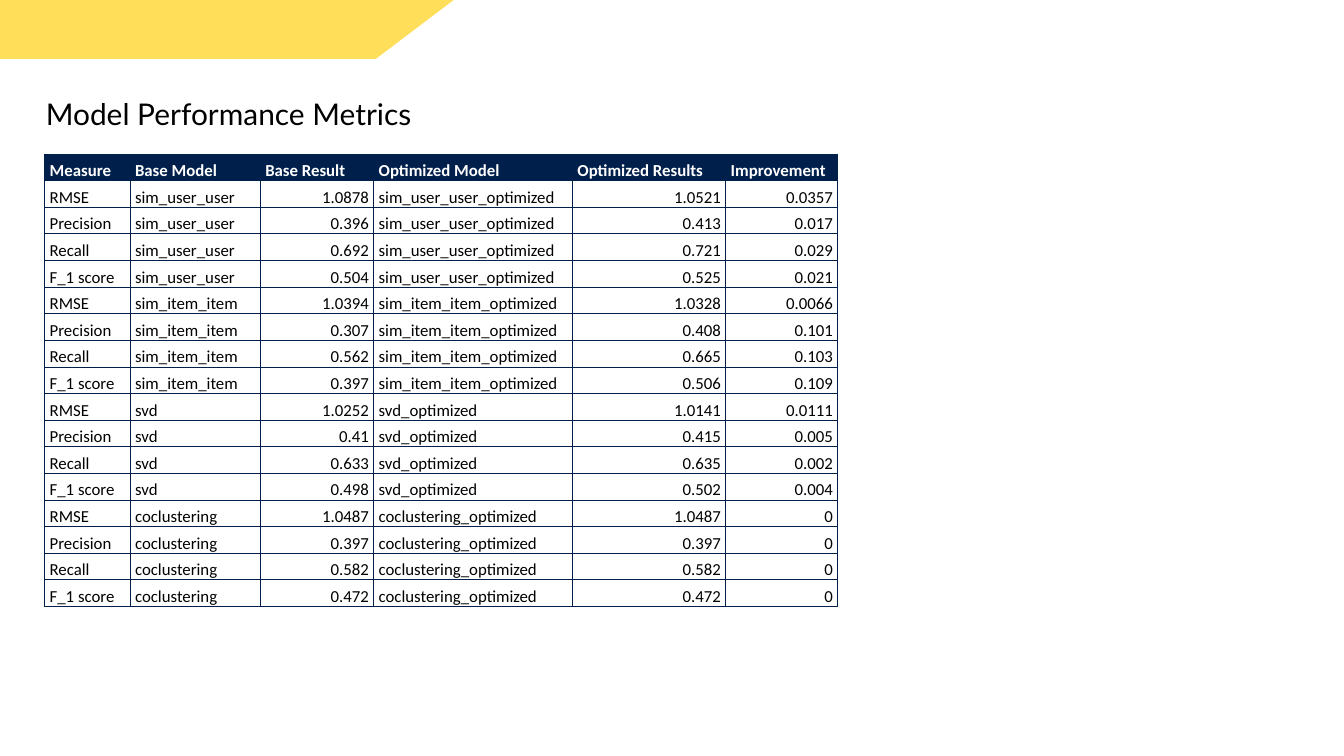
from typing import NamedTuple

from lxml.etree import SubElement
from pptx import Presentation
from pptx.dml.color import RGBColor
from pptx.enum.text import MSO_ANCHOR, PP_ALIGN
from pptx.oxml.ns import qn
from pptx.util import Pt

PX = 9525  # EMU per px, 96 px to the inch
NAVY, YELLOW, BLACK, WHITE = "00204B", "FFDE59", "000000", "FFFFFF"


class Column(NamedTuple):
    heading: str
    width: int
    numeric: bool = False


class ModelResult(NamedTuple):
    model: str
    base: tuple[float, ...]
    optimized: tuple[float, ...]


COLUMNS = [
    Column("Measure", 122),
    Column("Base Model", 186),
    Column("Base Result", 162, True),
    Column("Optimized Model", 284),
    Column("Optimized Results", 219, True),
    Column("Improvement", 160, True),
]
MEASURES = ("RMSE", "Precision", "Recall", "F_1 score")
RESULTS = [
    ModelResult("sim_user_user", (1.0878, 0.396, 0.692, 0.504), (1.0521, 0.413, 0.721, 0.525)),
    ModelResult("sim_item_item", (1.0394, 0.307, 0.562, 0.397), (1.0328, 0.408, 0.665, 0.506)),
    ModelResult("svd", (1.0252, 0.41, 0.633, 0.498), (1.0141, 0.415, 0.635, 0.502)),
    ModelResult("coclustering", (1.0487, 0.397, 0.582, 0.472), (1.0487, 0.397, 0.582, 0.472)),
]
ROW_HEIGHT = 33


def color(hex_value: str) -> RGBColor:
    return RGBColor.from_string(hex_value)


def add_run(paragraph, text: str, font: str, size: int, ink: str, bold: bool = False) -> None:
    run = paragraph.add_run()
    run.text = text
    run.font.name = font
    run.font.size = Pt(size)
    run.font.bold = bold
    run.font.color.rgb = color(ink)


def add_borders(cell, hex_value: str) -> None:
    properties = cell._tc.get_or_add_tcPr()
    for side in ("a:lnL", "a:lnR", "a:lnT", "a:lnB"):
        line = SubElement(properties, qn(side), w=str(Pt(1)))
        SubElement(SubElement(line, qn("a:solidFill")), qn("a:srgbClr"), val=hex_value)


def fill_cell(cell, text: str, header: bool, numeric: bool) -> None:
    cell.margin_left = cell.margin_right = 7 * PX
    cell.margin_top = cell.margin_bottom = 0
    cell.vertical_anchor = MSO_ANCHOR.BOTTOM
    add_borders(cell, NAVY)
    if header:
        cell.fill.solid()
        cell.fill.fore_color.rgb = color(NAVY)
    else:
        cell.fill.background()
    paragraph = cell.text_frame.paragraphs[0]
    paragraph.line_spacing = 1.32
    paragraph.alignment = PP_ALIGN.RIGHT if numeric and not header else PP_ALIGN.LEFT
    add_run(paragraph, text, "Calibri", 18, WHITE if header else BLACK, header)


def metric_rows() -> list[list[str]]:
    return [
        [measure, result.model, f"{base:g}", f"{result.model}_optimized",
         f"{optimized:g}", f"{round(abs(optimized - base), 4):g}"]
        for result in RESULTS
        for measure, base, optimized in zip(MEASURES, result.base, result.optimized)
    ]


def add_banner(slide) -> None:
    builder = slide.shapes.build_freeform(0, 0, scale=PX)
    builder.add_line_segments([(648, 0), (537, 84), (0, 84)], close=True)
    banner = builder.convert_to_shape()
    banner.shadow.inherit = False
    banner.fill.solid()
    banner.fill.fore_color.rgb = color(YELLOW)
    banner.line.fill.background()


def add_title(slide) -> None:
    title = slide.shapes.add_textbox(56 * PX, 132 * PX, 1344 * PX, 61 * PX)
    title.text_frame.word_wrap = True
    add_run(title.text_frame.paragraphs[0], "Model Performance Metrics", "Lato", 32, BLACK)


def add_metrics_table(slide) -> None:
    rows = [[column.heading for column in COLUMNS], *metric_rows()]
    width = sum(column.width for column in COLUMNS)
    metrics = slide.shapes.add_table(
        len(rows), len(COLUMNS), 64 * PX, 220 * PX, width * PX, len(rows) * ROW_HEIGHT * PX
    ).table
    metrics.horz_banding = False
    for index, column in enumerate(COLUMNS):
        metrics.columns[index].width = column.width * PX
    for row_index, row in enumerate(rows):
        metrics.rows[row_index].height = ROW_HEIGHT * PX
        for index, (column, text) in enumerate(zip(COLUMNS, row)):
            fill_cell(metrics.cell(row_index, index), text, row_index == 0, column.numeric)


def main() -> None:
    deck = Presentation()
    deck.slide_width, deck.slide_height = 1920 * PX, 1080 * PX
    slide = deck.slides.add_slide(deck.slide_layouts[6])

    # Corner banner, heading and results
    add_banner(slide)
    add_title(slide)
    add_metrics_table(slide)

    deck.save("out.pptx")


if __name__ == "__main__":
    main()
